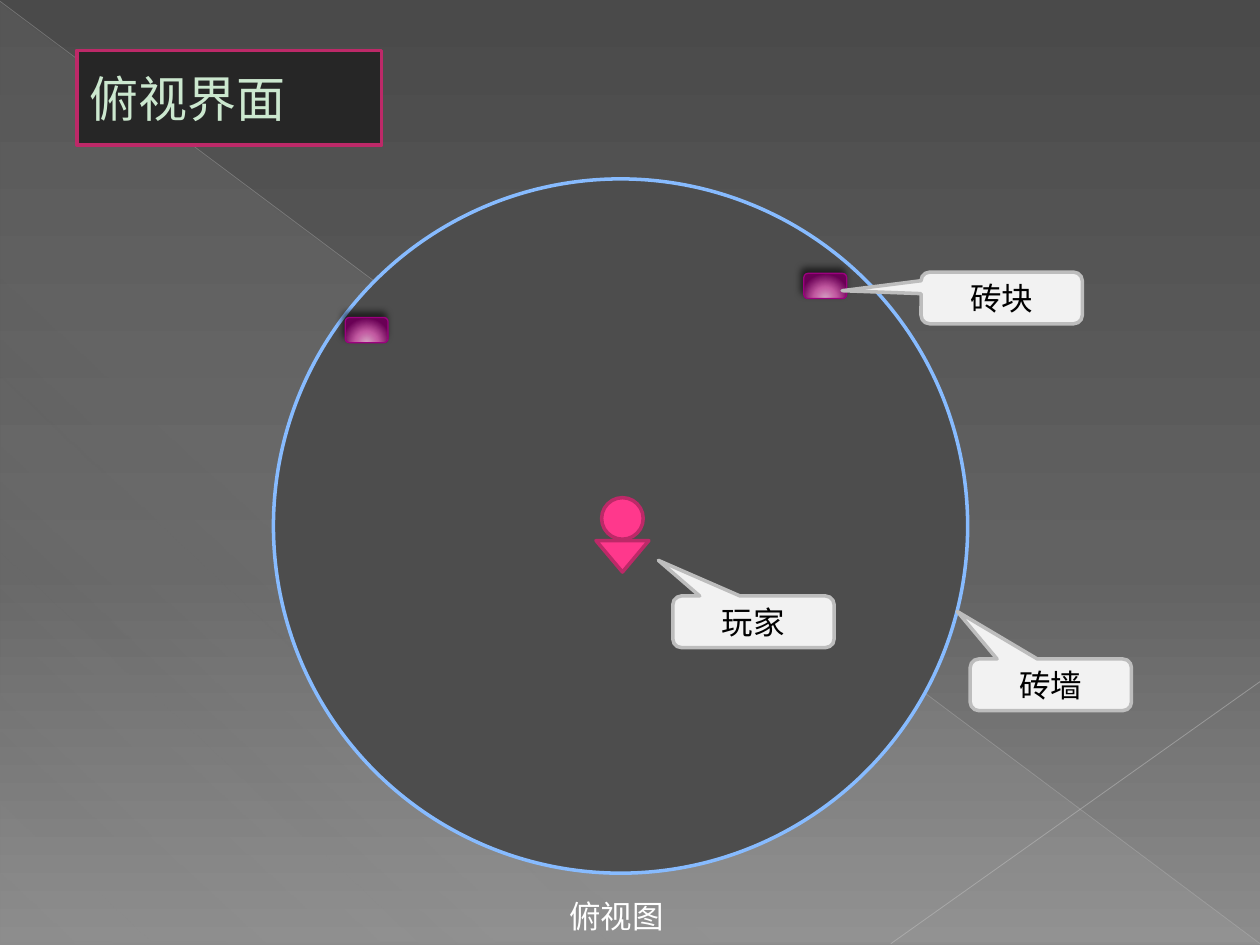
import pptx
import pptx.dml.color
import pptx.enum.shapes
import pptx.enum.text
import pptx.oxml
import pptx.oxml.ns
import pptx.util

Inches = pptx.util.Inches
Pt = pptx.util.Pt
RGBColor = pptx.dml.color.RGBColor
Shape = pptx.enum.shapes.MSO_SHAPE
Align = pptx.enum.text.PP_ALIGN
Anchor = pptx.enum.text.MSO_ANCHOR
qn = pptx.oxml.ns.qn

FONT_NAME = "League Spartan"
BLACK = RGBColor(0x00, 0x00, 0x00)
WHITE = RGBColor(0xFF, 0xFF, 0xFF)
MINT = RGBColor(0xCC, 0xE8, 0xCF)
TITLE_FILL = RGBColor(0x26, 0x26, 0x26)
MAGENTA = RGBColor(0xBD, 0x29, 0x68)
PINK = RGBColor(0xFF, 0x38, 0x8C)
WALL_FILL = RGBColor(0x4D, 0x4D, 0x4D)
WALL_LINE = RGBColor(0x87, 0xBB, 0xFF)
BRICK_LINE = RGBColor(0x9C, 0x00, 0x7F)
CALLOUT_FILL = RGBColor(0xF2, 0xF2, 0xF2)
CALLOUT_LINE = RGBColor(0xBD, 0xBD, 0xBD)
RAY_LONG = RGBColor(0xBF, 0xBF, 0xBF)
RAY_SHORT = RGBColor(0xC6, 0xC6, 0xC6)
VEIL = RGBColor(0xD2, 0xD2, 0xD2)
BACKGROUND_STOPS = [
    (0, RGBColor(0x4A, 0x4A, 0x4A), 100),
    (60, RGBColor(0x62, 0x62, 0x62), 100),
    (100, RGBColor(0x8C, 0x8C, 0x8C), 100),
]
VEIL_STOPS = [(0, VEIL, 10), (70, VEIL, 8), (100, VEIL, 1)]
BRICK_STOPS = [
    (0, RGBColor(0xD5, 0xA2, 0xC3), 100),
    (46, RGBColor(0xC2, 0x59, 0xA1), 100),
    (100, RGBColor(0x69, 0x00, 0x55), 100),
]
BRICK_GLOW = (
    '<a:path path="circle">'
    '<a:fillToRect l="50000" t="155000" r="50000" b="-55000"/></a:path>'
)
BRICK_SHADOW = (
    '<a:outerShdw {} blurRad="{}" dist="{}" dir="{}" rotWithShape="0">'
    '<a:srgbClr val="{}"><a:alpha val="60000"/></a:srgbClr></a:outerShdw>'
)


def apply_format(target, values):
    """Set each named attribute of the target."""
    for name, value in values.items():
        setattr(target, name, value)


def linear(degrees):
    """Return the gradient direction for an angle."""
    return f'<a:lin ang="{degrees * 60000}" scaled="0"/>'


def paint_gradient(fill, properties, stops, direction):
    """Give the fill held in the properties element a gradient."""
    fill.solid()
    solid = properties.find(qn("a:solidFill"))
    stop_xml = "".join(
        f'<a:gs pos="{position * 1000}"><a:srgbClr val="{color}">'
        f'<a:alpha val="{alpha * 1000}"/></a:srgbClr></a:gs>'
        for position, color, alpha in stops
    )
    gradient = pptx.oxml.parse_xml(
        f'<a:gradFill {pptx.oxml.ns.nsdecls("a")} rotWithShape="1">'
        f"<a:gsLst>{stop_xml}</a:gsLst>{direction}</a:gradFill>"
    )
    properties.replace(solid, gradient)


def style_shape(shape, fill_color, line_color, line_width=2):
    """Give the shape a flat fill and an outline."""
    shape.shadow.inherit = False
    if fill_color is not None:
        shape.fill.solid()
        shape.fill.fore_color.rgb = fill_color
    shape.line.color.rgb = line_color
    shape.line.width = Pt(line_width)


def add_shape(shapes, kind, box, fill_color, line_color, line_width=2):
    """Add a styled preset shape in a box given in inches."""
    shape = shapes.add_shape(kind, *map(Inches, box))
    style_shape(shape, fill_color, line_color, line_width)
    return shape


def write_text(shape, text, size, color, alignment):
    """Write one line of text, centred vertically."""
    frame = shape.text_frame
    frame.text = text
    apply_format(frame, {"word_wrap": True, "vertical_anchor": Anchor.MIDDLE})
    paragraph = frame.paragraphs[0]
    paragraph.alignment = alignment
    apply_format(paragraph.font, {"name": FONT_NAME, "size": Pt(size)})
    paragraph.font.color.rgb = color


def add_ray(shapes, ends, color, width, alpha):
    """Add a thin translucent line between two points."""
    ray = shapes.add_connector(
        pptx.enum.shapes.MSO_CONNECTOR.STRAIGHT, *map(Inches, ends)
    )
    ray.line.color.rgb = color
    ray.line.width = Pt(width)
    properties = ray._element.spPr
    tint = properties.find(".//" + qn("a:srgbClr"))
    pptx.oxml.xmlchemy.OxmlElement("a:alpha")
    tint.append(pptx.oxml.parse_xml(
        f'<a:alpha {pptx.oxml.ns.nsdecls("a")} val="{alpha * 1000}"/>'
    ))
    properties.append(pptx.oxml.parse_xml(
        f'<a:effectLst {pptx.oxml.ns.nsdecls("a")}/>'
    ))


def add_backdrop(slide, box):
    """Paint the background, the corner veil and the two rays."""
    background_fill = slide.background.fill
    background_fill.solid()
    properties = slide._element.find(".//" + qn("p:bgPr"))
    paint_gradient(background_fill, properties, BACKGROUND_STOPS, linear(90))
    left, top, width, height = box
    right, bottom = left + width, top + height
    veil = slide.shapes.add_shape(Shape.RIGHT_TRIANGLE, *map(Inches, box))
    veil.shadow.inherit = False
    paint_gradient(veil.fill, veil._element.spPr, VEIL_STOPS, linear(133))
    veil.line.fill.background()
    add_ray(slide.shapes, (left, top, right, bottom), RAY_LONG, 0.39, 35)
    add_ray(slide.shapes, (right, 5.41, 7.07, bottom), RAY_SHORT, 0.47, 45)


def add_title(slide, box):
    """Frame the title placeholder and bring it above the backdrop."""
    title = slide.shapes.title
    names = ("left", "top", "width", "height")
    apply_format(title, dict(zip(names, map(Inches, box))))
    title.fill.solid()
    title.fill.fore_color.rgb = TITLE_FILL
    title.line.color.rgb = MAGENTA
    title.line.width = Pt(2)
    write_text(title, "俯视界面", 28, MINT, Align.LEFT)
    title.text_frame.auto_size = pptx.enum.text.MSO_AUTO_SIZE.NONE
    title._element.getparent().append(title._element)


def add_caption(slide, box):
    """Add the caption below the wall."""
    caption = slide.shapes.add_textbox(*map(Inches, box))
    write_text(caption, "俯视图", 18, WHITE, Align.LEFT)


def add_player(slide, box):
    """Group a round head over a triangle pointing down."""
    left, top, width, height = box
    head, body = 0.33, 0.25
    group = slide.shapes.add_group_shape()
    head_box = (left + (width - head) / 2, top, head, head)
    add_shape(group.shapes, Shape.OVAL, head_box, PINK, MAGENTA)
    body_box = (left, top + height - body, width, body)
    triangle = add_shape(
        group.shapes, Shape.ISOSCELES_TRIANGLE, body_box, PINK, MAGENTA
    )
    triangle.rotation = 180


def add_brick(slide, box):
    """Add a glowing brick with a shadow."""
    brick = add_shape(
        slide.shapes, Shape.ROUNDED_RECTANGLE, box, None, BRICK_LINE, 0.75
    )
    properties = brick._element.spPr
    paint_gradient(brick.fill, properties, BRICK_STOPS, BRICK_GLOW)
    shadow = BRICK_SHADOW.format(
        pptx.oxml.ns.nsdecls("a"), Pt(4), Pt(3), 245 * 60000, BLACK
    )
    properties.find(qn("a:effectLst")).append(pptx.oxml.parse_xml(shadow))


def add_callout(slide, box, text, pointer):
    """Add a labelled callout whose tip sits at the pointer offset."""
    callout = add_shape(
        slide.shapes, Shape.ROUNDED_RECTANGULAR_CALLOUT, box,
        CALLOUT_FILL, CALLOUT_LINE,
    )
    callout.adjustments[0], callout.adjustments[1] = pointer
    write_text(callout, text, 18, BLACK, Align.CENTER)


def build_top_view(presentation):
    """Build the top view slide."""
    slide = presentation.slides.add_slide(presentation.slide_layouts[5])
    add_backdrop(slide, (0, 0.01, 10, 7.48))
    add_title(slide, (0.61, 0.4, 2.42, 0.75))
    add_shape(
        slide.shapes, Shape.OVAL, (2.17, 1.42, 5.51, 5.51), WALL_FILL, WALL_LINE
    )
    add_caption(slide, (4.42, 7.07, 1.17, 0.4))
    add_player(slide, (4.73, 3.95, 0.42, 0.59))
    for left, top in ((6.38, 2.17), (2.74, 2.52)):
        add_brick(slide, (left, top, 0.34, 0.2))
    for left, top, text, pointer in (
        (7.7, 5.23, "砖墙", (-0.58, -1.42)),
        (7.31, 2.16, "砖块", (-0.99, -0.14)),
        (5.34, 4.73, "玩家", (-0.59, -1.19)),
    ):
        add_callout(slide, (left, top, 1.28, 0.41), text, pointer)


def main():
    """Create and save the presentation."""
    presentation = pptx.Presentation()
    size = {"slide_width": Inches(10), "slide_height": Inches(7.5)}
    apply_format(presentation, size)
    build_top_view(presentation)
    presentation.save("out.pptx")


if __name__ == "__main__":
    main()
